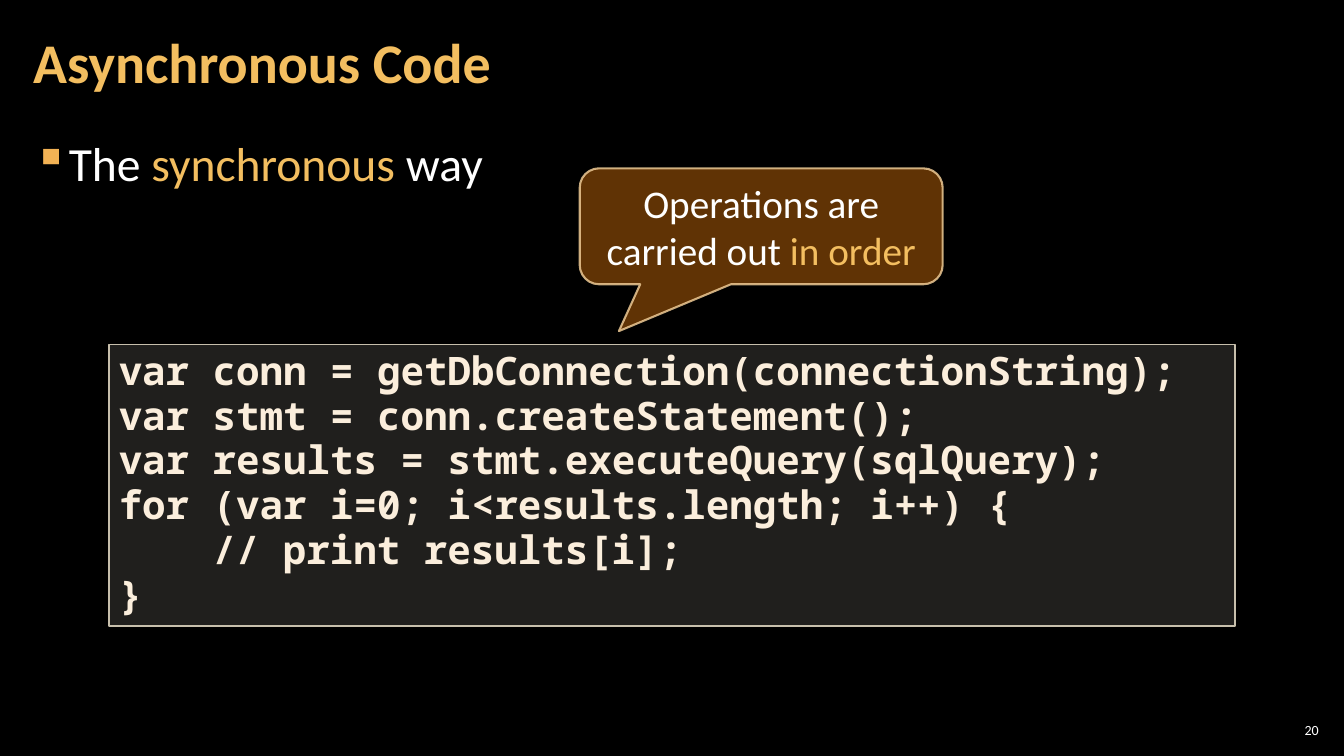
from dataclasses import dataclass

from lxml import etree
from pptx import Presentation
from pptx.dml.color import RGBColor
from pptx.enum.shapes import MSO_SHAPE
from pptx.enum.text import MSO_ANCHOR, PP_ALIGN
from pptx.oxml.ns import qn
from pptx.util import Inches, Pt

LEFT, CENTER, RIGHT = PP_ALIGN.LEFT, PP_ALIGN.CENTER, PP_ALIGN.RIGHT
TOP, MIDDLE = MSO_ANCHOR.TOP, MSO_ANCHOR.MIDDLE
RECTANGLE = MSO_SHAPE.RECTANGLE
CALLOUT = MSO_SHAPE.ROUNDED_RECTANGULAR_CALLOUT


@dataclass(frozen=True)
class Theme:
    background: str = "000000"
    text: str = "FFFFFF"
    accent: str = "F3BE60"
    bullet: str = "F2B254"
    code_text: str = "FBEEDC"
    code_fill: str = "D9D5C7"
    code_border: str = "C7BFAC"
    callout_fill: str = "663606"
    callout_border: str = "F8D49E"
    body_font: str = "Calibri"
    code_font: str = "Noto Sans Mono"
    title_size: int = 40
    body_size: int = 34
    detail_size: int = 28
    number_size: int = 10


THEME = Theme()


@dataclass(frozen=True)
class Run:
    text: str
    color: str = THEME.text


@dataclass(frozen=True)
class Line:
    runs: tuple[Run, ...]
    indent: float = 0
    bullet: str = ""


@dataclass(frozen=True)
class Panel:
    """Fill and outline; opacities are percentages."""
    preset: int
    fill: str
    fill_opacity: int
    border: str
    border_width: float
    border_opacity: int = 100
    adjustments: tuple[float, ...] = ()


@dataclass(frozen=True)
class Block:
    box: tuple[float, float, float, float]
    lines: tuple[Line, ...]
    size: int
    insets: tuple[float, float]
    font: str = THEME.body_font
    bold: bool = False
    align: int = LEFT
    anchor: int = TOP
    spacing: float = 1.0
    gap: int = 0
    wrap: bool = True
    panel: Panel | None = None


CODE = (
    (0, "var conn = getDbConnection(connectionString);"),
    (0, "var stmt = conn.createStatement();"),
    (0, "var results = stmt.executeQuery(sqlQuery);"),
    (0, "for (var i=0; i<results.length; i++) {"),
    (1, "// print results[i];"),
    (0, "}"),
)
CODE_INDENT = 0.93

BLOCKS = (
    Block((12.65, 7.14, 0.47, 0.21), (Line((Run("20"),)),),
          THEME.number_size, (0.04, 0.04), align=RIGHT, anchor=MIDDLE),
    Block((0.21, 1.26, 12.91, 6.09),
          (Line((Run("The "), Run("synchronous", THEME.accent), Run(" way")),
                indent=0.33, bullet="▪"),),
          THEME.body_size, (0.12, 0.04), spacing=1.05, gap=6),
    Block((0.21, 0.04, 10.47, 1.21),
          (Line((Run("Asynchronous Code", THEME.accent),)),),
          THEME.title_size, (0.12, 0.04), bold=True, anchor=MIDDLE, spacing=0.9),
    Block((1.08, 3.42, 11.17, 2.79),
          tuple(Line((Run(code, THEME.code_text),), indent=level * CODE_INDENT)
                for level, code in CODE),
          THEME.detail_size, (0.1, 0.05), font=THEME.code_font, bold=True, spacing=0.95,
          panel=Panel(RECTANGLE, THEME.code_fill, 15, THEME.code_border, 1)),
    Block((5.75, 1.67, 3.6, 1.15),
          (Line((Run("Operations are"),)),
           Line((Run("carried out "), Run("in order", THEME.accent)))),
          THEME.detail_size, (0.2, 0.05), align=CENTER, anchor=MIDDLE, wrap=False,
          panel=Panel(CALLOUT, THEME.callout_fill, 95, THEME.callout_border, 1.5, 80,
                      (-0.392, 0.904, 0.167))),
)


def apply_format(target, values: dict) -> None:
    for attribute, value in values.items():
        setattr(target, attribute, value)


def set_opacity(properties, percent: int) -> None:
    color = next(properties.iter(qn("a:srgbClr")))
    etree.SubElement(color, qn("a:alpha"), val=str(percent * 1000))


def add_panel(slide, box: list, panel: Panel):
    shape = slide.shapes.add_shape(panel.preset, *box)
    shape.shadow.inherit = False
    for index, value in enumerate(panel.adjustments):
        shape.adjustments[index] = value
    shape.fill.solid()
    shape.fill.fore_color.rgb = RGBColor.from_string(panel.fill)
    shape.line.color.rgb = RGBColor.from_string(panel.border)
    shape.line.width = Pt(panel.border_width)
    properties = shape.element.spPr
    set_opacity(properties.find(qn("a:solidFill")), panel.fill_opacity)
    set_opacity(properties.find(qn("a:ln")), panel.border_opacity)
    return shape


def indent_line(paragraph, line: Line) -> None:
    """Indent a line, hanging its bullet in the margin if it has one."""
    properties = paragraph._p.get_or_add_pPr()
    properties.set("marL", str(Inches(line.indent)))
    if line.bullet:
        properties.set("indent", str(-Inches(line.indent)))
        color = etree.SubElement(properties, qn("a:buClr"))
        etree.SubElement(color, qn("a:srgbClr"), val=THEME.bullet)
        etree.SubElement(properties, qn("a:buChar"), char=line.bullet)


def add_block(slide, block: Block) -> None:
    box = [Inches(length) for length in block.box]
    shape = add_panel(slide, box, block.panel) if block.panel else slide.shapes.add_textbox(*box)
    frame = shape.text_frame
    side, end = (Inches(inset) for inset in block.insets)
    apply_format(frame, {
        "word_wrap": block.wrap, "vertical_anchor": block.anchor,
        "margin_left": side, "margin_right": side,
        "margin_top": end, "margin_bottom": end,
    })
    for index, line in enumerate(block.lines):
        paragraph = frame.add_paragraph() if index else frame.paragraphs[0]
        apply_format(paragraph, {
            "alignment": block.align, "line_spacing": block.spacing,
            "space_before": Pt(block.gap), "space_after": Pt(block.gap),
        })
        indent_line(paragraph, line)
        for part in line.runs:
            run = paragraph.add_run()
            run.text = part.text
            apply_format(run.font, {
                "name": block.font, "size": Pt(block.size), "bold": block.bold,
            })
            run.font.color.rgb = RGBColor.from_string(part.color)


def main() -> None:
    deck = Presentation()
    deck.slide_width, deck.slide_height = Inches(13.33), Inches(7.5)
    slide = deck.slides.add_slide(deck.slide_layouts[6])
    slide.background.fill.solid()
    slide.background.fill.fore_color.rgb = RGBColor.from_string(THEME.background)
    for block in BLOCKS:
        add_block(slide, block)
    deck.save("out.pptx")


if __name__ == "__main__":
    main()
